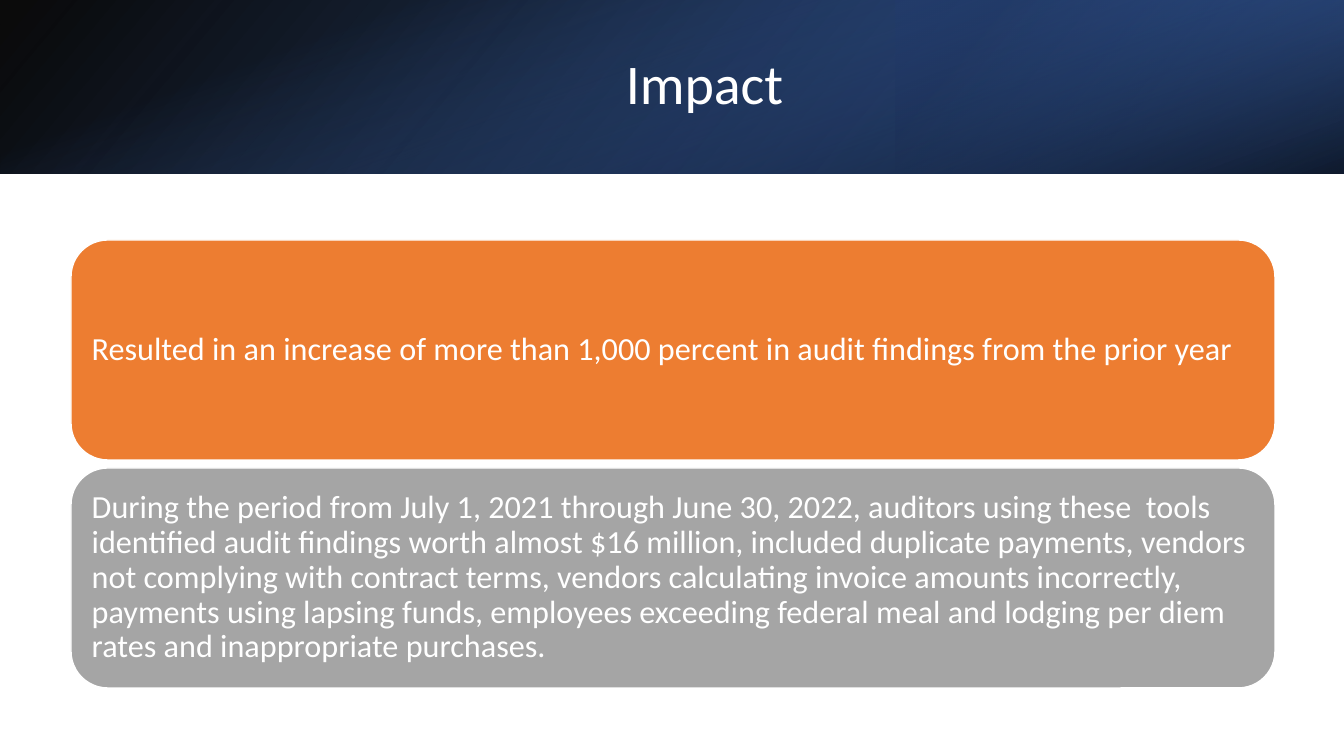
from lxml.etree import SubElement
from pptx import Presentation
from pptx.dml.color import RGBColor
from pptx.enum.shapes import MSO_SHAPE
from pptx.enum.text import MSO_ANCHOR, PP_ALIGN
from pptx.oxml.ns import qn
from pptx.util import Emu, Pt

SLIDE_WIDTH, SLIDE_HEIGHT = 1344, 756
BANNER_HEIGHT = 174
CARD_LEFT, CARD_TOP, CARD_WIDTH, CARD_HEIGHT = 71, 240, 1204, 220
CARD_PITCH = 228
WHITE = "FFFFFF"

FINDINGS = [
    ("ED7D31", "Resulted in an increase of more than 1,000 percent in audit "
               "findings from the prior year"),
    ("A5A5A5", "During the period from July 1, 2021 through June 30, 2022, "
               "auditors using these  tools identified audit findings worth "
               "almost $16 million, included duplicate payments, vendors not "
               "complying with contract terms, vendors calculating invoice "
               "amounts incorrectly, payments using lapsing funds, employees "
               "exceeding federal meal and lodging per diem rates and "
               "inappropriate purchases."),
]


def px(length):
    """Convert slide pixels to EMU."""
    return Emu(round(length * 914400 / 100.8))


def color(value):
    """Convert a hex string to a colour."""
    return RGBColor.from_string(value)


def add_panel(slide, kind, box):
    """Add a preset shape without a shadow."""
    panel = slide.shapes.add_shape(kind, *map(px, box))
    panel.shadow.inherit = False
    return panel


def add_gradient(slide, box, stops, angle, rotation=0, flipped=False):
    """Add a two-stop gradient layer; angle is clockwise, stops hold opacity."""
    layer = add_panel(slide, MSO_SHAPE.RECTANGLE, box)
    layer.rotation = rotation
    if flipped:
        layer._element.spPr.find(qn("a:xfrm")).set("flipH", "1")
    layer.line.fill.background()
    layer.fill.gradient()
    layer.fill.gradient_angle = 360 - angle
    for stop, (position, shade, _) in zip(layer.fill.gradient_stops, stops):
        stop.position = position / 100
        stop.color.rgb = color(shade)
    shades = layer._element.spPr.iter(qn("a:srgbClr"))
    for shade, (_, _, opacity) in zip(shades, stops):
        SubElement(shade, qn("a:alpha")).set("val", str(opacity * 1000))


def write(holder, wording, size, alignment):
    """Write one vertically centred white paragraph."""
    frame = holder.text_frame
    frame.word_wrap = True
    frame.vertical_anchor = MSO_ANCHOR.MIDDLE
    frame.margin_left = frame.margin_right = px(10)
    paragraph = frame.paragraphs[0]
    paragraph.text = wording
    paragraph.alignment = alignment
    paragraph.line_spacing = 0.9
    paragraph.font.name = "Calibri"
    paragraph.font.size = Pt(size)
    paragraph.font.color.rgb = color(WHITE)


def add_banner(slide):
    """Layer the gradients of the header band."""
    third = SLIDE_WIDTH // 3
    offset = (SLIDE_WIDTH - BANNER_HEIGHT) // 2
    add_gradient(slide, (0, 0, SLIDE_WIDTH, BANNER_HEIGHT),
                 [(0, "000000", 96), (100, "2F5597", 100)], 140, flipped=True)
    add_gradient(slide, (2 * third, 0, third, BANNER_HEIGHT),
                 [(19, "203864", 68), (100, "4472C4", 79)], 320, 180, True)
    add_gradient(slide, (offset, -offset, BANNER_HEIGHT, SLIDE_WIDTH),
                 [(23, "4472C4", 0), (99, "000000", 74)], 340, 90)


def add_title(slide, wording):
    """Add the title over the header band."""
    title = slide.shapes.add_textbox(*map(px, (151, 38, 1107, 97)))
    write(title, wording, 40, PP_ALIGN.CENTER)


def add_card(slide, top, shade, wording):
    """Add a rounded card holding one finding."""
    card = add_panel(slide, MSO_SHAPE.ROUNDED_RECTANGLE,
                     (CARD_LEFT, top, CARD_WIDTH, CARD_HEIGHT))
    card.fill.solid()
    card.fill.fore_color.rgb = color(shade)
    card.line.color.rgb = color(WHITE)
    card.line.width = Pt(1)
    write(card, wording, 23, PP_ALIGN.LEFT)


def main():
    """Build and save the slide."""
    deck = Presentation()
    deck.slide_width, deck.slide_height = px(SLIDE_WIDTH), px(SLIDE_HEIGHT)
    slide = deck.slides.add_slide(deck.slide_layouts[6])
    add_banner(slide)
    add_title(slide, "Impact")
    for index, (shade, wording) in enumerate(FINDINGS):
        add_card(slide, CARD_TOP + index * CARD_PITCH, shade, wording)
    deck.save("out.pptx")


if __name__ == "__main__":
    main()
